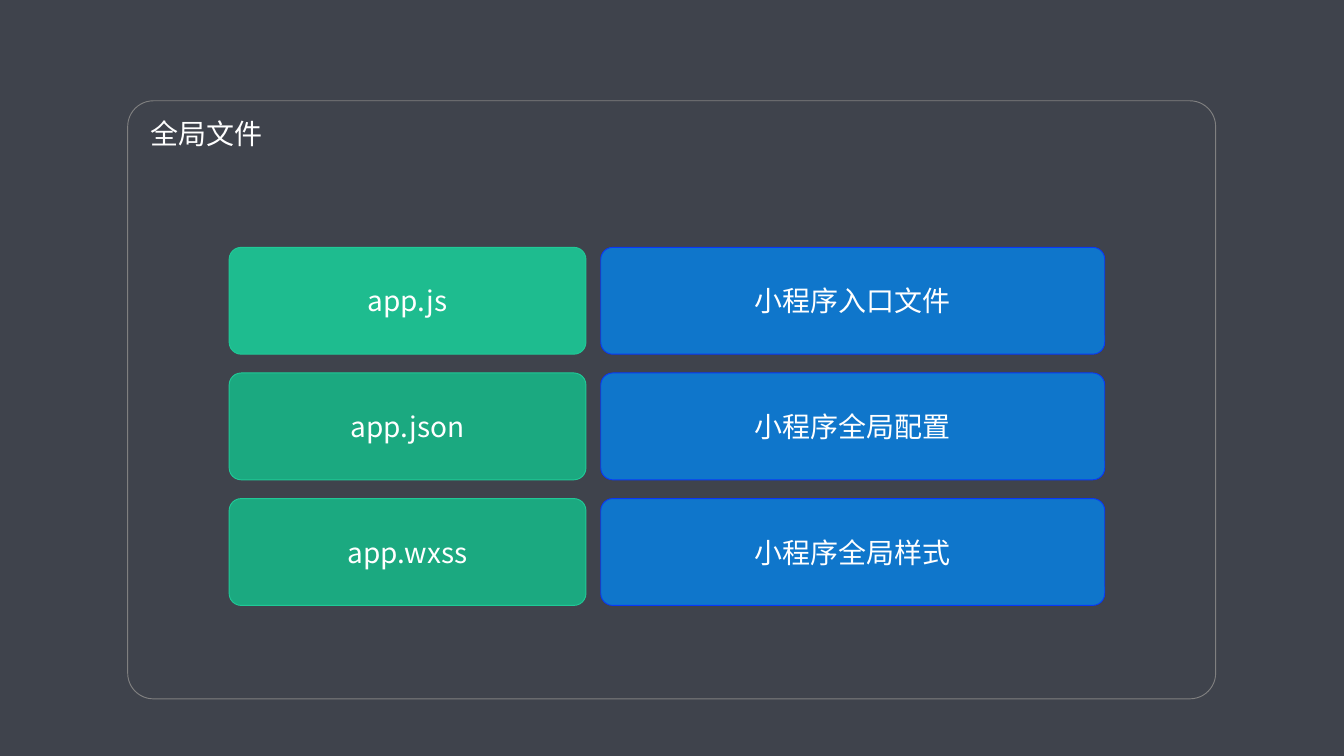
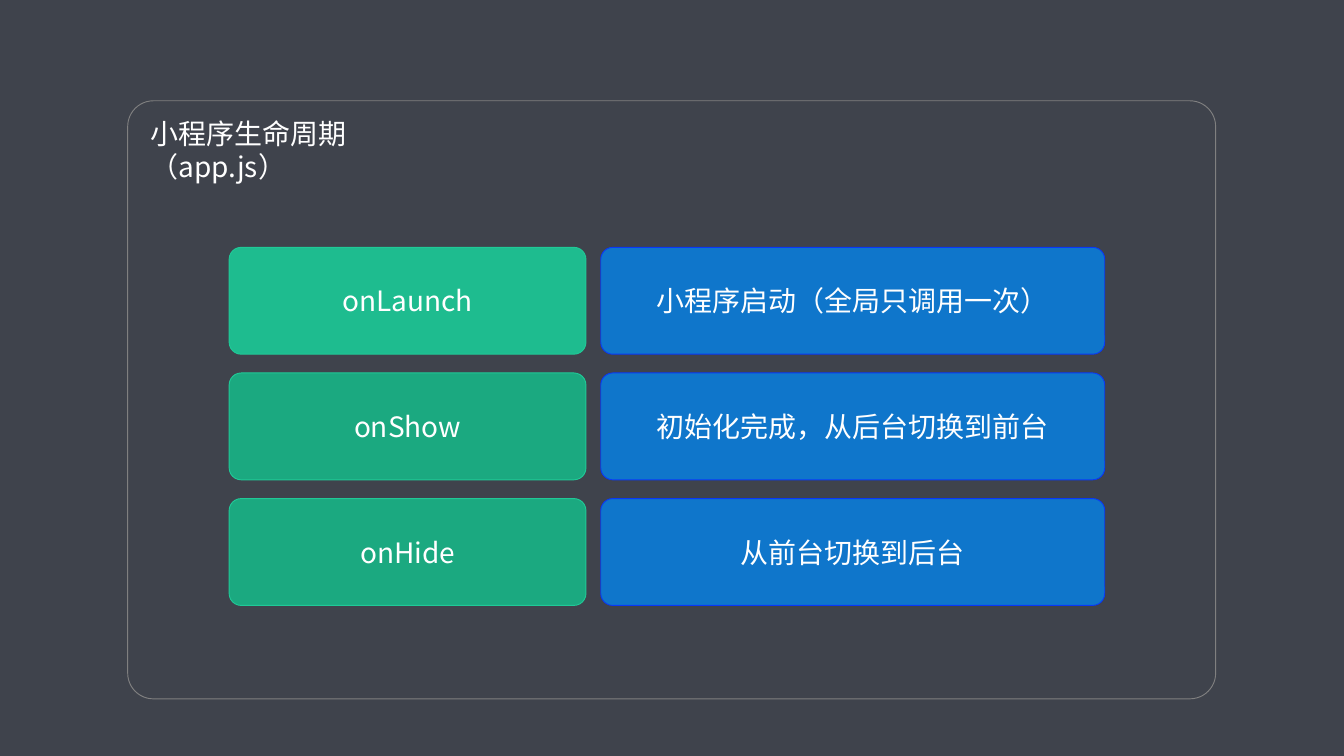
from dataclasses import dataclass

from lxml import etree
from pptx import Presentation
from pptx.dml.color import RGBColor
from pptx.enum.shapes import MSO_SHAPE
from pptx.enum.text import MSO_ANCHOR, MSO_AUTO_SIZE, PP_ALIGN
from pptx.oxml.ns import qn
from pptx.util import Pt


@dataclass(frozen=True)
class Theme:
    background: str = "3F434C"
    frame_line: str = "808080"
    text: str = "FFFFFF"
    first_name: str = "1EBC8F"
    other_name: str = "1BA980"
    name_line: str = "20C997"
    meaning: str = "0F76CB"
    meaning_line: str = "0939F7"
    font: str = "Noto Sans CJK SC"
    text_size: int = 30
    line_width: int = 1


theme = Theme()


def write_text(box, text, align=PP_ALIGN.CENTER, anchor=MSO_ANCHOR.MIDDLE):
    frame = box.text_frame
    frame.word_wrap = True
    frame.auto_size = MSO_AUTO_SIZE.NONE
    frame.vertical_anchor = anchor
    para = frame.paragraphs[0]
    para.alignment = align
    span = para.add_run()
    span.text = text
    span.font.size = Pt(theme.text_size)
    span.font.name = theme.font
    span.font.color.rgb = RGBColor.from_string(theme.text)
    east_asian = etree.SubElement(span.font._element, qn("a:ea"))
    east_asian.set("typeface", theme.font)


def add_panel(page, left, top, width, height, radius, line, fill=None):
    panel = page.shapes.add_shape(
        MSO_SHAPE.ROUNDED_RECTANGLE, Pt(left), Pt(top), Pt(width), Pt(height)
    )
    panel.adjustments[0] = radius
    panel.shadow.inherit = False
    panel.line.color.rgb = RGBColor.from_string(line)
    panel.line.width = Pt(theme.line_width)
    if fill:
        panel.fill.solid()
        panel.fill.fore_color.rgb = RGBColor.from_string(fill)
    else:
        panel.fill.background()
    return panel


pages = [
    ("全局文件", 136, [
        ("app.js", "小程序入口文件"),
        ("app.json", "小程序全局配置"),
        ("app.wxss", "小程序全局样式"),
    ]),
    ("小程序生命周期（app.js）", 360, [
        ("onLaunch", "小程序启动（全局只调用一次）"),
        ("onShow", "初始化完成，从后台切换到前台"),
        ("onHide", "从前台切换到后台"),
    ]),
]
first_top, row_height, row_step = 265, 114.5, 134.6
name_left, name_width = 245.5, 382.3
meaning_left, meaning_width = 643.7, 540
cell_radius = 0.112

deck = Presentation()
deck.slide_width, deck.slide_height = Pt(1440), Pt(810)
background = deck.slide_master.background.fill
background.solid()
background.fore_color.rgb = RGBColor.from_string(theme.background)

for heading, heading_width, rows in pages:
    page = deck.slides.add_slide(deck.slide_layouts[5])
    add_panel(page, 136.8, 108, 1165.7, 640.8, 0.043, theme.frame_line)

    title = page.shapes.title
    title.left, title.top = Pt(154), Pt(121)
    title.width, title.height = Pt(heading_width), Pt(44)
    write_text(title, heading, align=PP_ALIGN.LEFT, anchor=MSO_ANCHOR.TOP)

    for index, (name, meaning) in enumerate(rows):
        top = first_top + index * row_step
        name_fill = theme.other_name if index else theme.first_name
        name_box = add_panel(page, name_left, top, name_width, row_height,
                             cell_radius, theme.name_line, name_fill)
        write_text(name_box, name)
        meaning_box = add_panel(page, meaning_left, top, meaning_width, row_height,
                                cell_radius, theme.meaning_line, theme.meaning)
        write_text(meaning_box, meaning)

deck.save("out.pptx")
